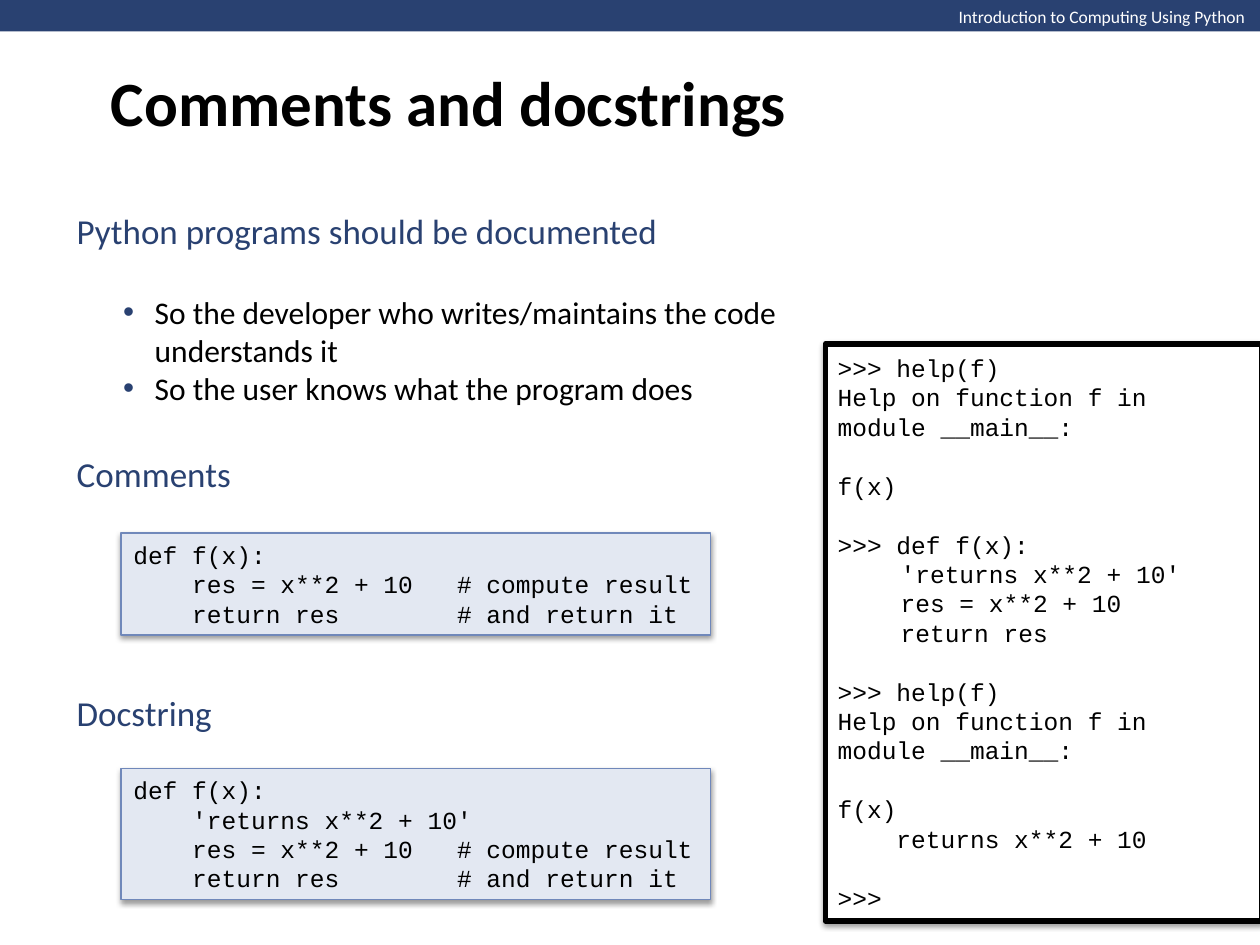
from dataclasses import dataclass

from lxml import etree
from pptx import Presentation
from pptx.dml.color import RGBColor
from pptx.enum.shapes import MSO_SHAPE
from pptx.enum.text import MSO_ANCHOR, MSO_AUTO_SIZE, PP_ALIGN
from pptx.oxml.ns import qn
from pptx.shapes.autoshape import Shape
from pptx.slide import Slide
from pptx.util import Emu, Inches, Pt

RECTANGLE = MSO_SHAPE.RECTANGLE
MIDDLE = MSO_ANCHOR.MIDDLE
LEFT = PP_ALIGN.LEFT
FIXED_SIZE = MSO_AUTO_SIZE.NONE
TITLE_ONLY = 5
SLIDE_WIDTH, SLIDE_HEIGHT = Inches(10), Inches(7.5)


@dataclass(frozen=True)
class Theme:
    navy: str = "294171"
    black: str = "000000"
    white: str = "FFFFFF"
    code_fill: str = "E3E8F2"
    code_line: str = "7088BA"
    text_font: str = "Calibri"
    code_font: str = "Courier New"
    header_size: float = 10
    title_size: float = 36
    heading_size: float = 20
    bullet_size: float = 18
    code_size: float = 14
    code_pitch: float = 16.8


THEME = Theme()


@dataclass(frozen=True)
class Area:
    """Left, top, width and height as percentages of the slide's size."""
    left: float
    top: float
    width: float
    height: float

    def lengths(self) -> tuple[Emu, Emu, Emu, Emu]:
        return (Emu(round(SLIDE_WIDTH * self.left / 100)),
                Emu(round(SLIDE_HEIGHT * self.top / 100)),
                Emu(round(SLIDE_WIDTH * self.width / 100)),
                Emu(round(SLIDE_HEIGHT * self.height / 100)))


@dataclass(frozen=True)
class Label:
    text: str
    area: Area
    size: float = THEME.heading_size
    color: str = THEME.navy
    wrap: bool = False


@dataclass(frozen=True)
class CodePanel:
    """A listing whose blocks are set apart by one empty line's height."""
    area: Area
    blocks: tuple[str, ...]
    fill: str = THEME.code_fill
    line: str = THEME.code_line
    line_width: float = 0.75


HEADER_BAND = Area(0, 0, 100, 3.33)
TITLE_AREA = Area(7.8, 0, 85, 21.47)
HEADER = Label("Introduction to Computing Using Python", Area(75.1, 0, 25, 3.6),
               THEME.header_size, THEME.white)
INTRO = Label("Python programs should be documented",
              Area(5.1, 21.47, 57.6, 22.4), wrap=True)
SECTIONS = (
    Label("Comments", Area(5.1, 47.2, 14.4, 5.87)),
    Label("Docstring", Area(5.1, 72.53, 12.9, 5.87)),
)
REASONS = (
    "So the developer who writes/maintains the code understands it",
    "So the user knows what the program does",
)
BODY = "    res = x**2 + 10   # compute result\n    return res        # and return it"
HELP = ">>> help(f)\nHelp on function f in module __main__:"
PANELS = (
    CodePanel(Area(9.6, 56.4, 46.8, 10.8), (f"def f(x):\n{BODY}",)),
    CodePanel(Area(9.6, 81.33, 46.8, 13.87),
              (f"def f(x):\n    'returns x**2 + 10'\n{BODY}",)),
    CodePanel(
        Area(65.5, 36.4, 34.6, 61.07),
        (HELP, "f(x)",
         ">>> def f(x):\n\t'returns x**2 + 10'\n\tres = x**2 + 10\n\treturn res",
         HELP, "f(x)\n    returns x**2 + 10", ">>>"),
        THEME.white, THEME.black, 3),
)


def format_runs(para, size: float, color: str, font: str = THEME.text_font,
                bold: bool = False) -> None:
    for span in para.runs:
        span.font.name = font
        span.font.size = Pt(size)
        span.font.bold = bold
        span.font.color.rgb = RGBColor.from_string(color)


def add_label(page: Slide, label: Label) -> Shape:
    box = page.shapes.add_textbox(*label.area.lengths())
    frame = box.text_frame
    frame.word_wrap = label.wrap
    frame.text = label.text
    format_runs(frame.paragraphs[0], label.size, label.color)
    return box


def add_rectangle(page: Slide, area: Area, fill: str) -> Shape:
    box = page.shapes.add_shape(RECTANGLE, *area.lengths())
    box.fill.solid()
    box.fill.fore_color.rgb = RGBColor.from_string(fill)
    box.line.fill.background()
    box.shadow.inherit = False
    return box


def add_soft_shadow(box: Shape) -> None:
    effects = box._element.spPr.find(qn("a:effectLst"))
    shadow = etree.SubElement(effects, qn("a:outerShdw"), blurRad=str(Pt(3.1)),
                              dist=str(Pt(1.6)), dir="5400000", rotWithShape="0")
    color = etree.SubElement(shadow, qn("a:srgbClr"), val=THEME.black)
    etree.SubElement(color, qn("a:alpha"), val="38000")


def add_bullet(para) -> None:
    properties = para._p.get_or_add_pPr()
    properties.set("marL", str(Inches(0.62)))
    properties.set("indent", str(Inches(-0.25)))
    color = etree.SubElement(properties, qn("a:buClr"))
    etree.SubElement(color, qn("a:srgbClr"), val=THEME.navy)
    etree.SubElement(properties, qn("a:buFont"), typeface="Arial")
    etree.SubElement(properties, qn("a:buChar"), char="•")


def add_reasons(box: Shape) -> None:
    for index, reason in enumerate(REASONS):
        para = box.text_frame.add_paragraph()
        para.text = reason
        para.space_before = Pt(24 if index == 0 else 0)
        add_bullet(para)
        format_runs(para, THEME.bullet_size, THEME.black)


def add_code_panel(page: Slide, panel: CodePanel) -> None:
    box = add_rectangle(page, panel.area, panel.fill)
    box.line.color.rgb = RGBColor.from_string(panel.line)
    box.line.width = Pt(panel.line_width)
    add_soft_shadow(box)
    frame = box.text_frame
    frame.word_wrap = True
    frame.vertical_anchor = MIDDLE
    frame.text = "\n".join(panel.blocks)
    block_starts = set()
    line_count = 0
    for block in panel.blocks:
        block_starts.add(line_count)
        line_count += len(block.split("\n"))
    for index, para in enumerate(frame.paragraphs):
        para.alignment = LEFT
        para.line_spacing = Pt(THEME.code_pitch)
        if index and index in block_starts:
            para.space_before = Pt(THEME.code_pitch)
        format_runs(para, THEME.code_size, THEME.black, THEME.code_font)


def set_title(page: Slide, text: str) -> None:
    title = page.shapes.title
    title.left, title.top, title.width, title.height = TITLE_AREA.lengths()
    frame = title.text_frame
    frame.text = text
    frame.auto_size = FIXED_SIZE
    frame.vertical_anchor = MIDDLE
    frame.paragraphs[0].alignment = LEFT
    format_runs(frame.paragraphs[0], THEME.title_size, THEME.black, bold=True)


def main() -> None:
    deck = Presentation()
    deck.slide_width, deck.slide_height = SLIDE_WIDTH, SLIDE_HEIGHT
    page = deck.slides.add_slide(deck.slide_layouts[TITLE_ONLY])
    add_rectangle(page, HEADER_BAND, THEME.navy)
    add_label(page, HEADER)
    set_title(page, "Comments and docstrings")
    add_reasons(add_label(page, INTRO))
    for section in SECTIONS:
        add_label(page, section)
    for panel in PANELS:
        add_code_panel(page, panel)
    deck.save("out.pptx")


if __name__ == "__main__":
    main()
